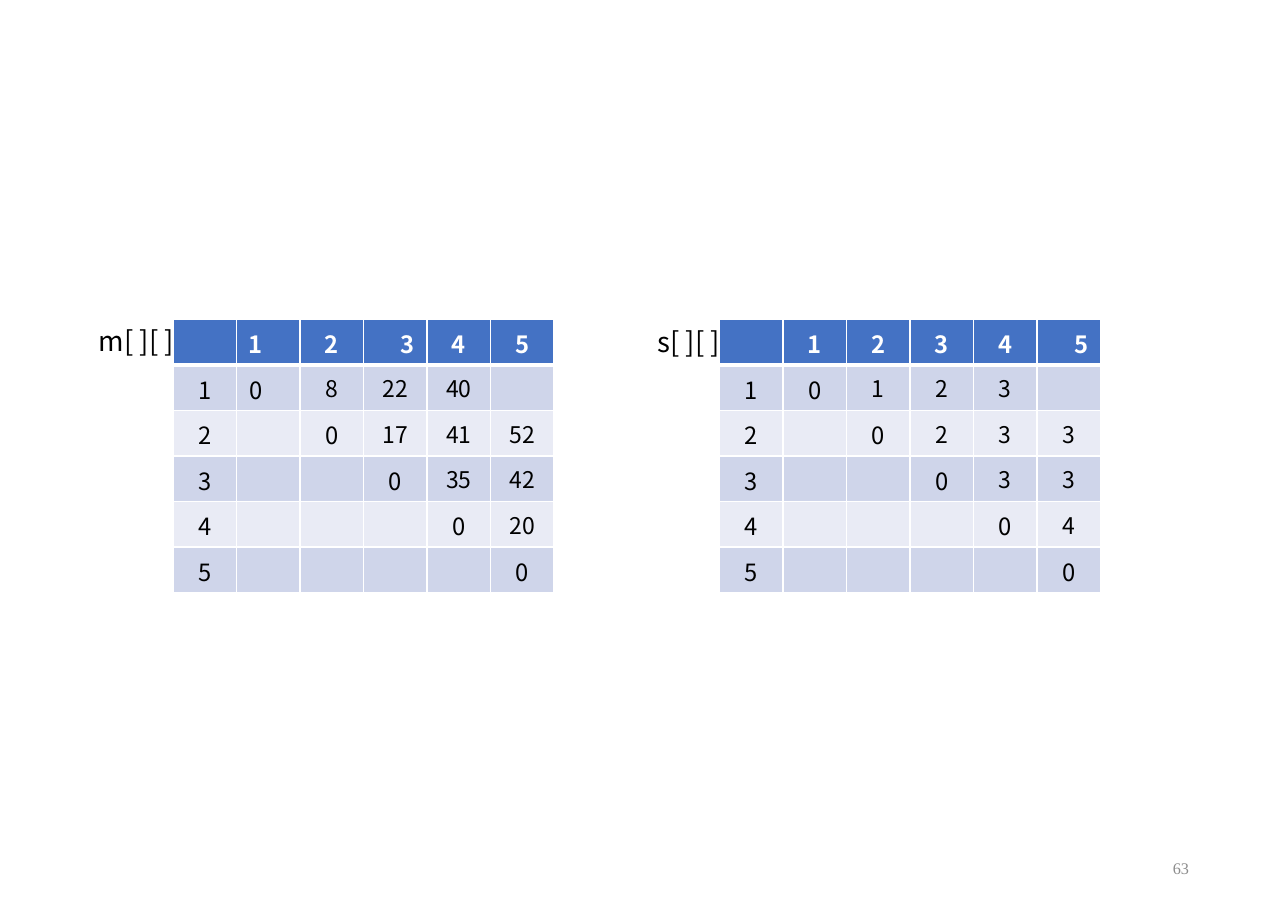
from pptx import Presentation
from pptx import util as u
from pptx.dml.color import RGBColor
from pptx.enum import text
from pptx.oxml import parse_xml
from pptx.oxml.ns import nsdecls

WHITE = RGBColor(0xFF, 0xFF, 0xFF)
BLACK = RGBColor(0, 0, 0)
GRAY = RGBColor(0x8C, 0x8C, 0x8C)
HEADER = RGBColor(0x44, 0x72, 0xC4)
BANDS = (RGBColor(0xE9, 0xEB, 0xF5), RGBColor(0xCF, 0xD5, 0xEA))
SANS = "Noto Sans CJK SC"
SERIF = "Times New Roman"
SIZE = 6
INDENT = u.Inches(0.23)

COSTS = [
    ["", "1", "2", "3", "4", "5"],
    ["1", "0", "8", "22", "40", ""],
    ["2", "", "0", "17", "41", "52"],
    ["3", "", "", "0", "35", "42"],
    ["4", "", "", "", "0", "20"],
    ["5", "", "", "", "", "0"],
]
SPLITS = [
    ["", "1", "2", "3", "4", "5"],
    ["1", "0", "1", "2", "3", ""],
    ["2", "", "0", "2", "3", "3"],
    ["3", "", "", "0", "3", "3"],
    ["4", "", "", "", "0", "4"],
    ["5", "", "", "", "", "0"],
]


def style_font(para, size, color, name=SANS, bold=False):
    para.font.size = u.Pt(size)
    para.font.color.rgb = color
    para.font.name = name
    para.font.bold = bold


def add_text(page, left, top, width, height, words, size, color, name=SANS):
    box = page.shapes.add_textbox(*map(u.Inches, (left, top, width, height)))
    box.text_frame.word_wrap = True
    para = box.text_frame.paragraphs[0]
    para.text = words
    style_font(para, size, color, name)
    return box


def add_borders(cell, row):
    widths = {"L": 1, "R": 1, "T": 3 if row == 1 else 1, "B": 3 if row == 0 else 1}
    properties = cell._tc.get_or_add_tcPr()
    for side, width in widths.items():
        properties.append(parse_xml(
            f'<a:ln{side} {nsdecls("a")} w="{u.Pt(width)}"><a:solidFill>'
            f'<a:srgbClr val="{WHITE}"/></a:solidFill></a:ln{side}>'))


def fill_cell(cell, row, column, words):
    add_borders(cell, row)
    cell.fill.solid()
    cell.fill.fore_color.rgb = BANDS[row % 2] if row else HEADER
    cell.vertical_anchor = text.MSO_ANCHOR.MIDDLE
    above_diagonal = 0 < row < column
    cell.margin_left = cell.margin_right = cell.margin_bottom = 0
    cell.margin_top = 0 if above_diagonal else u.Inches(0.02)
    para = cell.text_frame.paragraphs[0]
    para.text = words
    para.alignment = text.PP_ALIGN.CENTER
    if not above_diagonal:
        para.space_before = u.Pt(1.4)
    style_font(para, 15 if above_diagonal else 15.5,
               BLACK if row else WHITE, bold=row == 0)


def add_matrix(page, left, values):
    frame = page.shapes.add_table(SIZE, SIZE, u.Inches(left), u.Inches(2.9),
                                  u.Inches(3.46), u.Inches(2.48))
    table = frame.table
    for row, entries in enumerate(values):
        for column, words in enumerate(entries):
            fill_cell(table.cell(row, column), row, column, words)
    return table


def indent_cell(table, row, column, side="marL", alignment=text.PP_ALIGN.CENTER):
    para = table.cell(row, column).text_frame.paragraphs[0]
    para.alignment = alignment
    para._p.get_or_add_pPr().set(side, str(INDENT))


def main():
    deck = Presentation()
    deck.slide_width = u.Inches(11.69)
    deck.slide_height = u.Inches(8.27)
    page = deck.slides.add_slide(deck.slide_layouts[6])

    number = add_text(page, 8.26, 7.66, 2.63, 0.44, "63", 10.6, GRAY, SERIF)
    number.text_frame.vertical_anchor = text.MSO_ANCHOR.MIDDLE
    number.text_frame.paragraphs[0].alignment = text.PP_ALIGN.RIGHT

    costs = add_matrix(page, 1.57, COSTS)
    indent_cell(costs, 0, 1, side="marR")
    indent_cell(costs, 1, 1, side="marR")
    indent_cell(costs, 0, 3)
    indent_cell(costs, 3, 3, alignment=text.PP_ALIGN.LEFT)
    add_text(page, 0.8, 2.89, 1.33, 0.4, "m[ ][ ]", 18, BLACK)

    splits = add_matrix(page, 6.53, SPLITS)
    indent_cell(splits, 0, 5)
    indent_cell(splits, 5, 5, alignment=text.PP_ALIGN.LEFT)
    add_text(page, 5.87, 2.9, 1.33, 0.4, "s[ ][ ]", 18, BLACK)

    deck.save("out.pptx")


if __name__ == "__main__":
    main()
